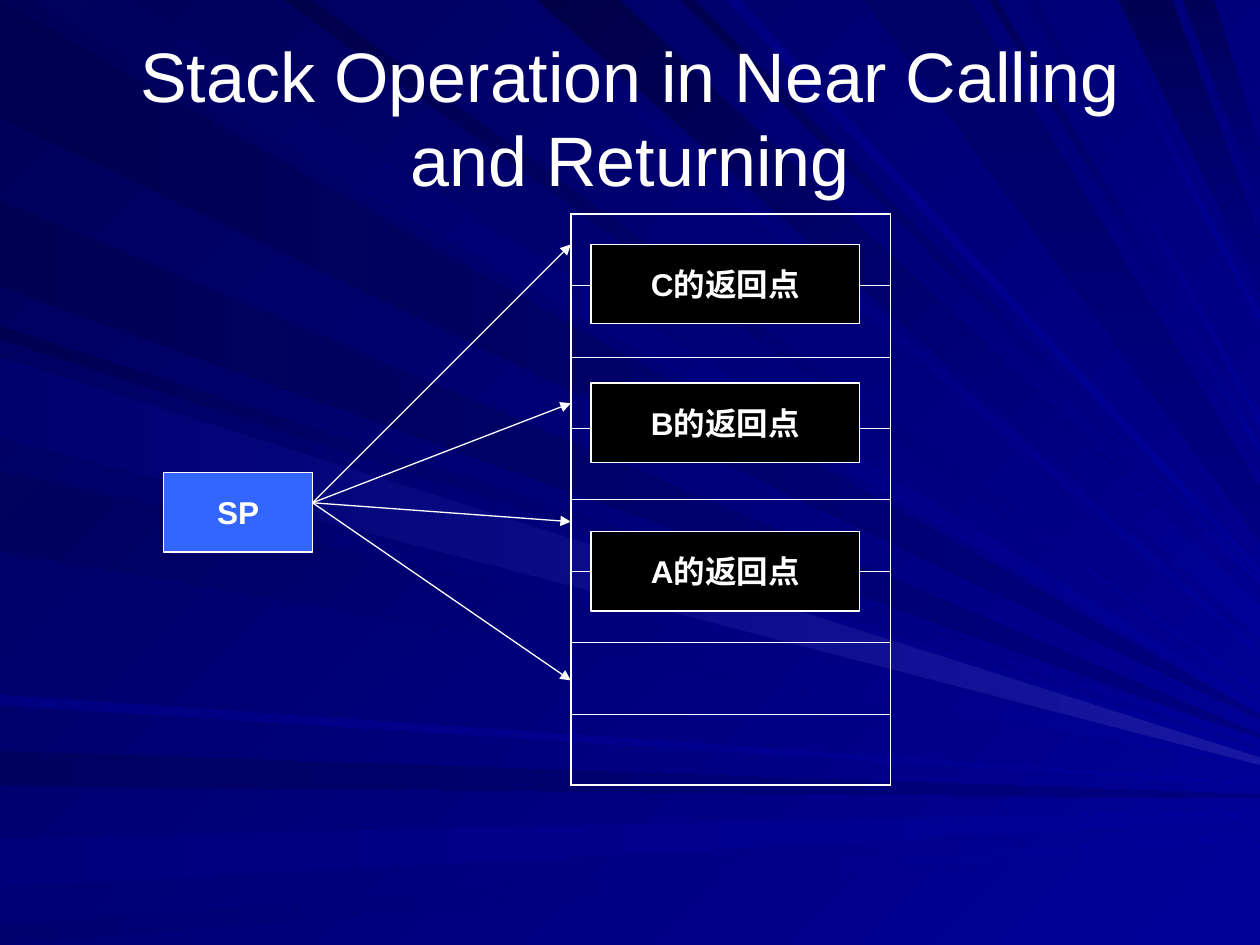
from dataclasses import dataclass

from lxml import etree
from pptx import Presentation
from pptx.dml.color import RGBColor
from pptx.enum.shapes import MSO_CONNECTOR, MSO_SHAPE
from pptx.enum.text import MSO_ANCHOR, MSO_AUTO_SIZE, PP_ALIGN
from pptx.oxml.ns import qn
from pptx.util import Pt

STRAIGHT = MSO_CONNECTOR.STRAIGHT
RECTANGLE = MSO_SHAPE.RECTANGLE
MIDDLE = MSO_ANCHOR.MIDDLE
CENTER = PP_ALIGN.CENTER
NO_AUTOFIT = MSO_AUTO_SIZE.NONE
TITLE_ONLY = 5
PAGE_WIDTH, PAGE_HEIGHT = 720, 540


@dataclass(frozen=True)
class Theme:
    font: str = "Arial"
    title_size: float = 40
    label_size: float = 18
    white: str = "FFFFFF"
    black: str = "000000"
    accent: str = "3366FF"
    night: str = "000058"
    dim: str = "000080"
    blue: str = "000099"
    glow: str = "1717A2"
    line: float = 0.75
    outer_border: float = 1.08
    inner_border: float = 0.45


THEME = Theme()

# Rays run from an edge of the page to its right side.
# Each group: edge, end colour, angle, width at the right side, and its rays
# as (first colour, start, stop along the edge, height reached at the right).
RAY_GROUPS = [
    ("left", THEME.dim, 0, 2, [
        ("000051", 1, 67, 410), ("000055", 114, 164, 421), ("000061", 429, 449, 455)]),
    ("left", THEME.blue, 0, 6, [
        ("00007D", 479, 507, 466), ("00006F", 529, 540, 477)]),
    ("left", THEME.blue, 45, 4, [
        ("000053", 186, 194, 424), ("000061", 200, 246, 431), ("00005D", 269, 315, 436)]),
    ("top", THEME.blue, 45, 4, [
        ("00005D", 19, 73, 405), ("00006B", 287, 300, 373), ("00004F", 389, 397, 333)]),
    ("top", THEME.blue, 45, 20, [("000047", 307, 354, 355)]),
    ("top", THEME.dim, 90, 30, [
        ("000065", 494, 554, 294), ("000055", 639, 670, 151), ("000059", 676, 694, 101)]),
    ("top", THEME.blue, 45, 4, [
        ("00004A", 162, 178, 396), ("000082", 415, 423, 327), ("000058", 565, 570, 257),
        ("00006F", 587, 593, 241), ("000079", 623, 628, 182)]),
    ("left", THEME.blue, 0, 2, [("000082", 397, 403, 448)]),
    ("left", THEME.glow, 0, 4, [("00006F", 204, 250, 435)]),
]

# Stack table and the parts placed against it
STACK_LEFT, STACK_TOP, STACK_WIDTH = 326.2, 122.4, 182.6
ROW_COUNT, ROW_HEIGHT = 8, 40.8
BOX_HEIGHT = 45.4
SP_LEFT, SP_TOP, SP_WIDTH = 93.6, 270, 85
RETURN_LEFT, RETURN_WIDTH = 337.7, 153.4
RETURN_POINTS = [("A的返回点", 303.8), ("B的返回点", 218.9), ("C的返回点", 139.7)]
ARROW_START_Y = 287.3
ARROW_END_YS = [388.8, 298.1, 230.4, 139.7]


def color(value):
    return RGBColor.from_string(value)


def paint(fill, first, last, angle):
    fill.gradient()
    fill.gradient_angle = -angle % 360
    for stop, value in zip(fill.gradient_stops, (first, last)):
        stop.color.rgb = color(value)


def format_text(frame, size, bold=False):
    frame.vertical_anchor = MIDDLE
    for paragraph in frame.paragraphs:
        paragraph.alignment = CENTER
        for span in paragraph.runs:
            span.font.name = THEME.font
            span.font.size = Pt(size)
            span.font.bold = bold
            span.font.color.rgb = color(THEME.white)


def add_rays(page):
    group = page.shapes.add_group_shape()
    for edge, last, angle, spread, rays in RAY_GROUPS:
        for first, start, stop, reach in rays:
            near = [(0, stop), (0, start)] if edge == "left" else [(start, 0), (stop, 0)]
            far = [(PAGE_WIDTH, reach - spread / 2), (PAGE_WIDTH, reach + spread / 2)]
            builder = group.shapes.build_freeform(*near[0], scale=Pt(1))
            builder.add_line_segments(near[1:] + far, close=True)
            ray = builder.convert_to_shape()
            ray.shadow.inherit = False
            ray.line.fill.background()
            paint(ray.fill, first, last, angle)


def set_title(page, text):
    title = page.shapes.title
    title.left, title.top, title.width, title.height = Pt(36), Pt(21.6), Pt(648), Pt(90)
    title.text_frame.text = text
    title.text_frame.auto_size = NO_AUTOFIT
    format_text(title.text_frame, THEME.title_size)
    # Bring the title in front of the rays
    page.shapes._spTree.append(title._element)


def add_box(page, text, left, top, width, fill):
    box = page.shapes.add_shape(RECTANGLE, Pt(left), Pt(top), Pt(width), Pt(BOX_HEIGHT))
    box.shadow.inherit = False
    box.fill.solid()
    box.fill.fore_color.rgb = color(fill)
    box.line.color.rgb = color(THEME.white)
    box.line.width = Pt(THEME.line)
    box.text_frame.text = text
    box.text_frame.word_wrap = False
    format_text(box.text_frame, THEME.label_size, bold=True)


def set_border(cell, side, width):
    border = etree.SubElement(cell._tc.get_or_add_tcPr(), qn(f"a:{side}"), w=str(Pt(width)))
    fill = etree.SubElement(border, qn("a:solidFill"))
    etree.SubElement(fill, qn("a:srgbClr"), val=THEME.white)


def add_stack(page):
    frame = page.shapes.add_table(ROW_COUNT, 1, Pt(STACK_LEFT), Pt(STACK_TOP),
                                  Pt(STACK_WIDTH), Pt(ROW_COUNT * ROW_HEIGHT))
    table = frame.table
    table.first_row = table.horz_banding = False
    outer, inner = THEME.outer_border, THEME.inner_border
    for index, row in enumerate(table.rows):
        row.height = Pt(ROW_HEIGHT)
        cell = row.cells[0]
        set_border(cell, "lnL", outer)
        set_border(cell, "lnR", outer)
        set_border(cell, "lnT", outer if index == 0 else inner)
        set_border(cell, "lnB", outer if index == ROW_COUNT - 1 else inner)
        cell.fill.background()


def add_arrow(page, end_y):
    arrow = page.shapes.add_connector(STRAIGHT, Pt(SP_LEFT + SP_WIDTH), Pt(ARROW_START_Y),
                                      Pt(STACK_LEFT), Pt(end_y))
    arrow.line.color.rgb = color(THEME.white)
    arrow.line.width = Pt(THEME.line)
    etree.SubElement(arrow.line._get_or_add_ln(), qn("a:tailEnd"), type="triangle")
    etree.SubElement(arrow._element.spPr, qn("a:effectLst"))


def main():
    deck = Presentation()
    deck.slide_width, deck.slide_height = Pt(PAGE_WIDTH), Pt(PAGE_HEIGHT)
    page = deck.slides.add_slide(deck.slide_layouts[TITLE_ONLY])

    # Backdrop and title
    paint(page.background.fill, THEME.night, THEME.blue, 45)
    add_rays(page)
    set_title(page, "Stack Operation in Near Calling and Returning")

    # Stack pointer, stack and return addresses
    add_box(page, "SP", SP_LEFT, SP_TOP, SP_WIDTH, THEME.accent)
    add_stack(page)
    for end_y in ARROW_END_YS:
        add_arrow(page, end_y)
    for text, top in RETURN_POINTS:
        add_box(page, text, RETURN_LEFT, top, RETURN_WIDTH, THEME.black)

    deck.save("out.pptx")


if __name__ == "__main__":
    main()
